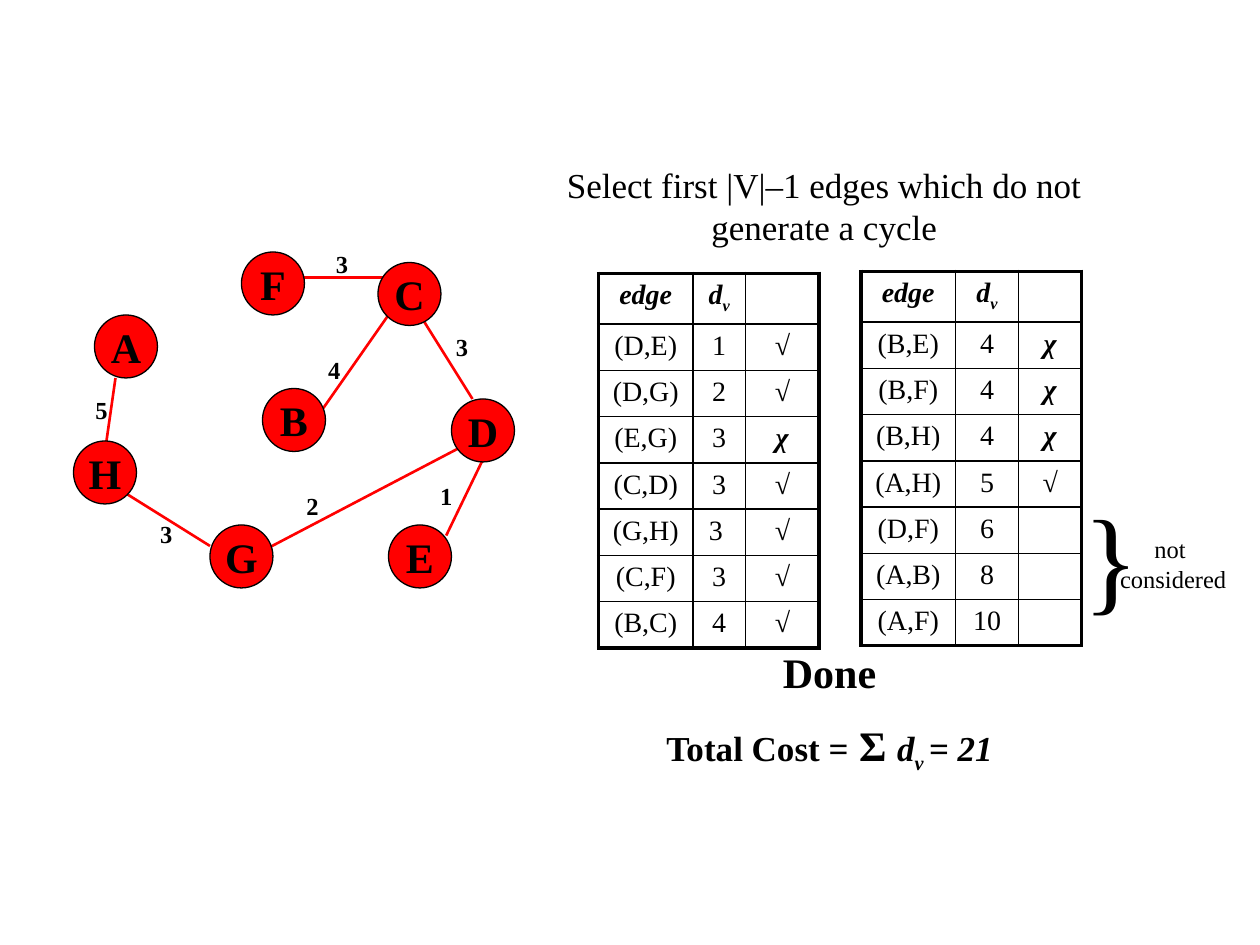
"""Build a slide on Kruskal's algorithm: the spanning tree, sorted edges and total cost."""
from lxml import etree
from pptx import Presentation
from pptx.dml.color import RGBColor
from pptx.enum.shapes import MSO_CONNECTOR, MSO_SHAPE
from pptx.enum.text import MSO_ANCHOR, PP_ALIGN
from pptx.oxml.ns import qn
from pptx.util import Pt

STRAIGHT, OVAL = MSO_CONNECTOR.STRAIGHT, MSO_SHAPE.OVAL
MIDDLE, CENTER = MSO_ANCHOR.MIDDLE, PP_ALIGN.CENTER
THEME = {
    "font": "Times New Roman",
    "ink": RGBColor(0, 0, 0),
    "red": RGBColor(255, 0, 0),
    "small": 14, "cell": 16, "body": 20, "large": 24, "brace": 66,
    "thin": 1, "thick": 2.25, "edge": 1.5, "outline": 0.75,
}
BOLD = {"bold": True}
ITALIC = {"bold": True, "italic": True}

deck = Presentation()
deck.slide_width, deck.slide_height = Pt(720), Pt(540)
slide = deck.slides.add_slide(deck.slide_layouts[6])
shapes = slide.shapes


def write(paragraph, runs, before=0):
    paragraph.alignment = CENTER
    paragraph.space_before = Pt(before)
    for text, size, style, *offset in runs:
        run = paragraph.add_run()
        run.text = text
        font = run.font
        for name, value in {"name": THEME["font"], "size": Pt(THEME[size]), **style}.items():
            setattr(font, name, value)
        font.color.rgb = THEME["ink"]
        for baseline in offset:
            font._element.set("baseline", str(baseline))


def add_text(left, top, width, height, paragraphs, before):
    frame = shapes.add_textbox(Pt(left), Pt(top), Pt(width), Pt(height)).text_frame
    frame.word_wrap = True
    for index, (runs, gap) in enumerate(zip(paragraphs, before)):
        write(frame.add_paragraph() if index else frame.paragraphs[0], runs, gap)


add_text(312, 90, 318, 55.2,
         [[("Select first |V|–1 edges which do not generate a cycle", "body", {})]], [2])

edges = [
    ("5", (60, 258), (66, 216), (46, 222)),
    ("1", (284, 246), (255, 306), (243, 271.5)),
    ("4", (180, 240), (222, 180), (179, 199.5)),
    ("2", (144, 318), (270, 252), (166.5, 277)),
    ("3", (171, 158.5), (219.5, 158.5), (183.5, 138.5)),
    ("3", (240, 180), (270, 228), (252, 186)),
    ("3", (120, 312), (72, 282), (83, 293)),
]
for weight, start, end, label in edges:
    edge = shapes.add_connector(STRAIGHT, *map(Pt, start + end))
    edge.line.color.rgb = THEME["red"]
    edge.line.width = Pt(THEME["edge"])
    etree.SubElement(edge._element.spPr, qn("a:effectLst"))

vertices = {"A": (54, 180), "H": (42, 252), "B": (150, 222), "F": (138, 144),
            "E": (222, 300), "D": (258, 228), "C": (216, 150), "G": (120, 300)}
for letter, (left, top) in vertices.items():
    vertex = shapes.add_shape(OVAL, Pt(left), Pt(top), Pt(36), Pt(36))
    vertex.shadow.inherit = False
    vertex.fill.solid()
    vertex.fill.fore_color.rgb = THEME["red"]
    vertex.line.color.rgb = THEME["ink"]
    vertex.line.width = Pt(THEME["outline"])
    vertex.text_frame.word_wrap = False
    vertex.text_frame.vertical_anchor = MIDDLE
    write(vertex.text_frame.paragraphs[0], [(letter, "large", BOLD)])

for weight, start, end, (left, top) in edges:
    add_text(left, top, 24, 24, [[(weight, "small", BOLD)]], [1])

header = ("edge", "d", "")
edge_tables = [
    (342, 156.2, (54, 30, 42),
     [("(D,E)", "1", "√"), ("(D,G)", "2", "√"), ("(E,G)", "3", "χ"), ("(C,D)", "3", "√"),
      ("(G,H)", "3 ", "√"), ("(C,F)", "3", "√"), ("(B,C)", "4", "√")]),
    (492, 155, (54, 36, 36),
     [("(B,E)", "4", "χ"), ("(B,F)", "4", "χ"), ("(B,H)", "4", "χ"), ("(A,H)", "5", "√"),
      ("(D,F)", "6", ""), ("(A,B)", "8", ""), ("(A,F)", "10", "")]),
]
for left, top, widths, edge_rows in edge_tables:
    rows = [header, *edge_rows]
    row_height = 26.4
    table = shapes.add_table(len(rows), 3, Pt(left), Pt(top),
                             Pt(sum(widths)), Pt(row_height * len(rows))).table
    table.first_row = table.horz_banding = False
    for column, width in zip(table.columns, widths):
        column.width = Pt(width)
    for r, values in enumerate(rows):
        table.rows[r].height = Pt(row_height)
        for c, value in enumerate(values):
            cell = table.cell(r, c)
            runs = [(value, "cell", ITALIC if r == 0 or c == 2 else {})] if value else []
            if r == 0 and c == 1:
                runs.append(("v", "cell", ITALIC, -25000))
            paragraph = cell.text_frame.paragraphs[0]
            write(paragraph, runs)
            paragraph._p.get_or_add_endParaRPr().set("sz", str(THEME["cell"] * 100))
            properties = cell._tc.get_or_add_tcPr()
            outer = {"L": c == 0, "R": c == 2, "T": r == 0, "B": r == len(rows) - 1}
            for side, is_outer in outer.items():
                width = Pt(THEME["thick" if is_outer else "thin"])
                border = etree.SubElement(properties, qn("a:ln" + side), w=str(int(width)))
                fill = etree.SubElement(border, qn("a:solidFill"))
                etree.SubElement(fill, qn("a:srgbClr"), val=str(THEME["ink"]))
            cell.fill.background()

add_text(360, 366, 228, 115.2, [
    [("Done", "large", BOLD)],
    [("Total Cost =", "body", BOLD), (" Σ ", "large", BOLD), ("d", "body", ITALIC),
     ("v ", "body", ITALIC, -25000), ("= 21", "body", ITALIC)],
], [2, 13])
add_text(612, 273.6, 36, 86.4, [[("}", "brace", {})]], [5])
add_text(631.5, 301.7, 77.8, 41,
         [[("not ", "small", {})], [("considered", "small", {})]], [0, 0])

deck.save("out.pptx")
